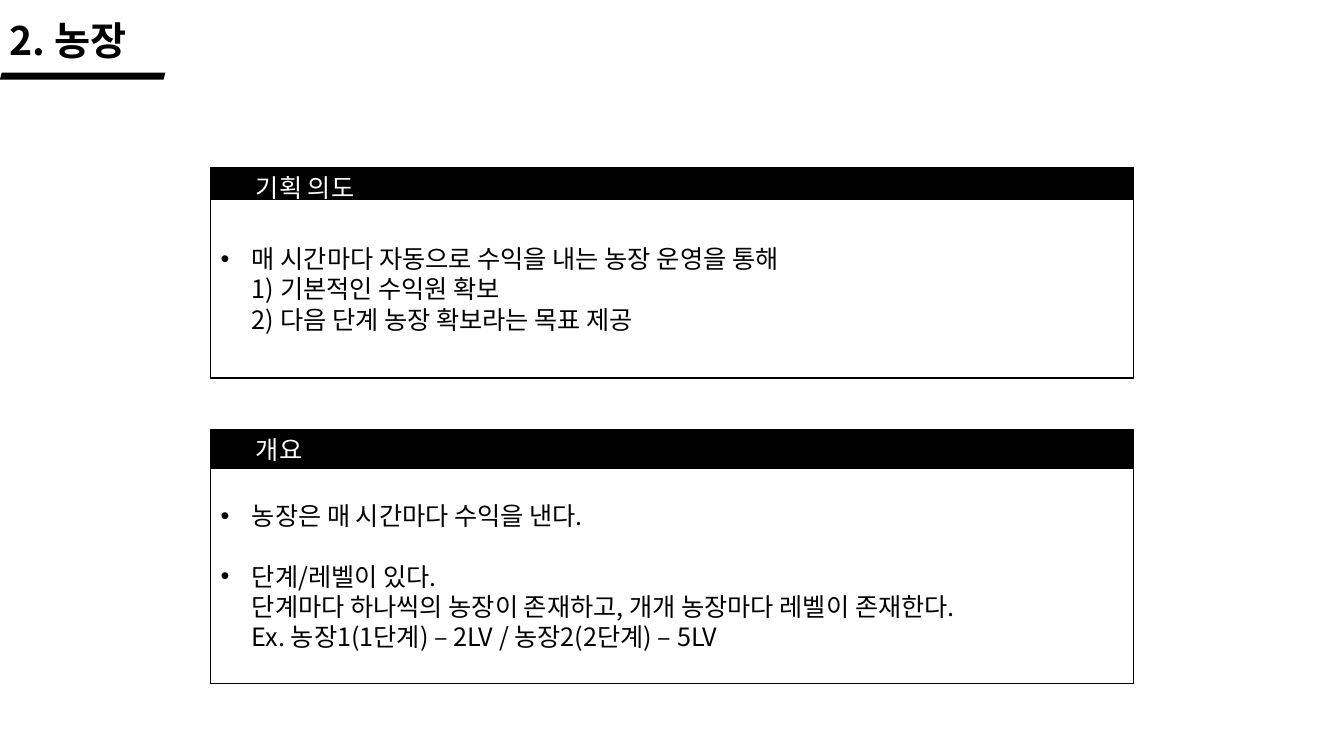
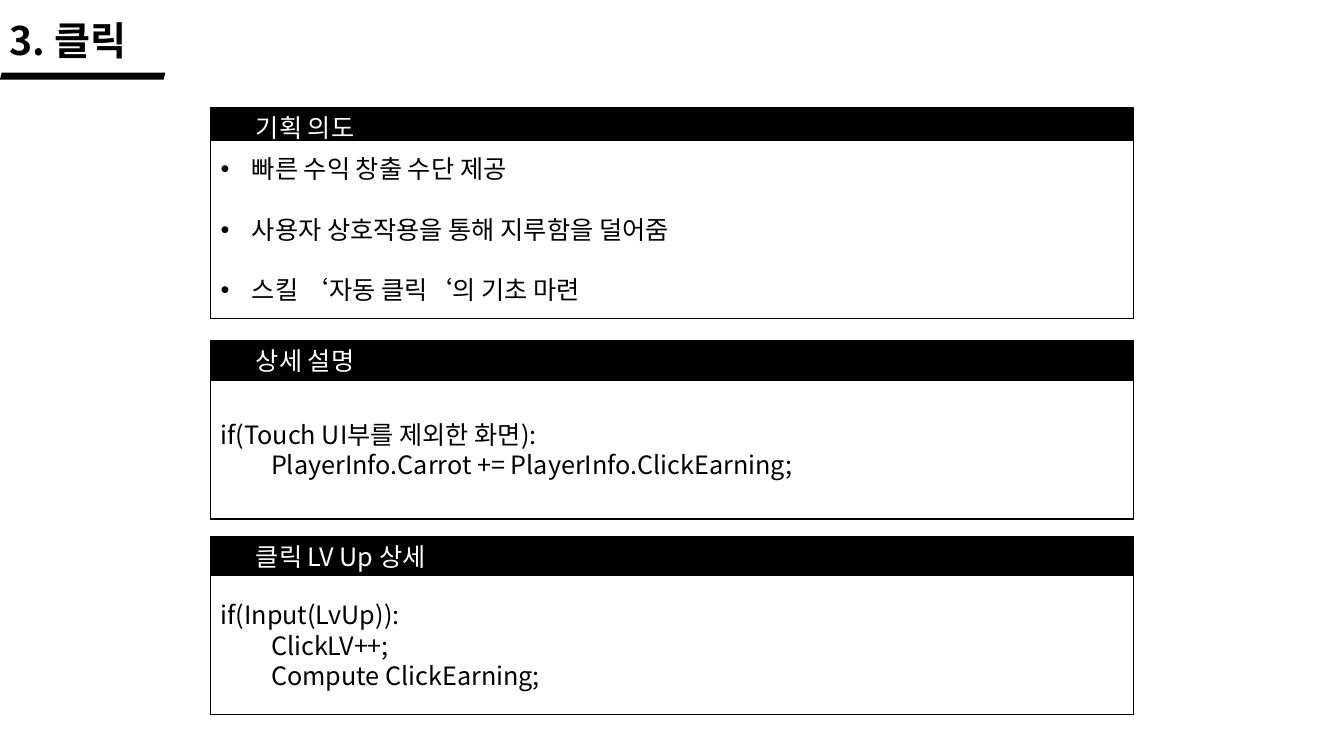
from pptx import Presentation
from pptx.dml.color import RGBColor
from pptx.enum.shapes import MSO_SHAPE
from pptx.enum.text import MSO_ANCHOR, PP_ALIGN
from pptx.oxml.ns import qn
from pptx.util import Emu, Pt
from lxml.etree import SubElement

BLACK, WHITE = "000000", "FFFFFF"
FONT = "Noto Sans CJK KR"
TITLE_SIZE, TEXT_SIZE, LINE_RATIO = 28, 18, 1.2
PANEL_LEFT, PANEL_WIDTH = 209, 915
HEADING_LEFT, HEADING_WIDTH, HEADING_HEIGHT = 244, 842, 40
BULLET_INDENT, CODE_INDENT = 31, 50

SLIDES = [
    {"title": "2. 농장", "panels": [
        {"heading": "기획 의도", "top": 166, "height": 209, "band": 32, "bullets": [
            "매 시간마다 자동으로 수익을 내는 농장 운영을 통해\n"
            "1) 기본적인 수익원 확보\n"
            "2) 다음 단계 농장 확보라는 목표 제공"]},
        {"heading": "개요", "top": 426, "height": 252, "band": 39, "bullets": [
            "농장은 매 시간마다 수익을 낸다.",
            "단계/레벨이 있다.\n"
            "단계마다 하나씩의 농장이 존재하고, 개개 농장마다 레벨이 존재한다.\n"
            "Ex. 농장1(1단계) – 2LV / 농장2(2단계) – 5LV"]},
    ]},
    {"title": "3. 클릭", "panels": [
        {"heading": "기획 의도", "top": 107, "height": 209, "band": 32, "bullets": [
            "빠른 수익 창출 수단 제공",
            "사용자 상호작용을 통해 지루함을 덜어줌",
            "스킬 ‘자동 클릭‘의 기초 마련"]},
        {"heading": "상세 설명", "top": 338, "height": 177, "band": 39, "code": [
            "if(Touch UI부를 제외한 화면):",
            "PlayerInfo.Carrot += PlayerInfo.ClickEarning;"]},
        {"heading": "클릭 LV Up 상세", "top": 532, "height": 177, "band": 39, "code": [
            "if(Input(LvUp)):",
            "ClickLV++;\nCompute ClickEarning;"]},
    ]},
]


def px(length):
    return Emu(length * 9144)


def color(hex_code):
    return RGBColor.from_string(hex_code)


def add_block(page, preset, left, top, width, height, fill, outlined=True):
    block = page.shapes.add_shape(preset, px(left), px(top), px(width), px(height))
    block.shadow.inherit = False
    block.fill.solid()
    block.fill.fore_color.rgb = color(fill)
    if outlined:
        block.line.color.rgb = color(BLACK)
        block.line.width = Pt(1)
    else:
        block.line.fill.background()
    return block


def write(para, text, size, ink, bold=False):
    para.text = text
    para.alignment = PP_ALIGN.LEFT
    para.line_spacing = Pt(size * LINE_RATIO)
    for span in para.runs:
        span.font.name = FONT
        span.font.size = Pt(size)
        span.font.bold = bold
        span.font.color.rgb = color(ink)
        SubElement(span.font._element, qn("a:ea"), typeface=FONT)


def add_label(page, left, top, width, height, text, size, ink, bold=False):
    label = page.shapes.add_textbox(px(left), px(top), px(width), px(height))
    label.text_frame.word_wrap = True
    write(label.text_frame.paragraphs[0], text, size, ink, bold)


def indent(para, margin, first_line):
    properties = para._p.get_or_add_pPr()
    properties.set("marL", str(px(margin)))
    properties.set("indent", str(px(first_line)))
    return properties


def add_bullet(para):
    properties = indent(para, BULLET_INDENT, -BULLET_INDENT)
    SubElement(properties, qn("a:buFont"), typeface="Arial")
    SubElement(properties, qn("a:buChar"), char="•")


def add_panel(page, heading, top, height, band, bullets=(), code=()):
    add_block(page, MSO_SHAPE.RECTANGLE, PANEL_LEFT, top, PANEL_WIDTH, height, BLACK)
    body = add_block(page, MSO_SHAPE.RECTANGLE, PANEL_LEFT, top + band,
                     PANEL_WIDTH, height - band, WHITE)
    frame = body.text_frame
    frame.word_wrap = True
    frame.vertical_anchor = MSO_ANCHOR.MIDDLE
    for index, text in enumerate(bullets or code):
        para = frame.add_paragraph() if index else frame.paragraphs[0]
        write(para, text, TEXT_SIZE, BLACK)
        if bullets:
            if index:
                para.space_before = Pt(TEXT_SIZE * LINE_RATIO)
            add_bullet(para)
        elif index:
            para.level = 1
            indent(para, CODE_INDENT, 0)
    add_label(page, HEADING_LEFT, top, HEADING_WIDTH, HEADING_HEIGHT,
              heading, TEXT_SIZE, WHITE)


def add_title(page, title):
    add_label(page, 0, 11, 175, 57, title, TITLE_SIZE, BLACK, bold=True)
    add_block(page, MSO_SHAPE.PARALLELOGRAM, 0, 72, 164, 7, BLACK, outlined=False)


def main():
    deck = Presentation()
    deck.slide_width, deck.slide_height = px(1333), px(750)
    for content in SLIDES:
        page = deck.slides.add_slide(deck.slide_layouts[6])
        add_title(page, content["title"])
        for panel in content["panels"]:
            add_panel(page, **panel)
    deck.save("out.pptx")


if __name__ == "__main__":
    main()
